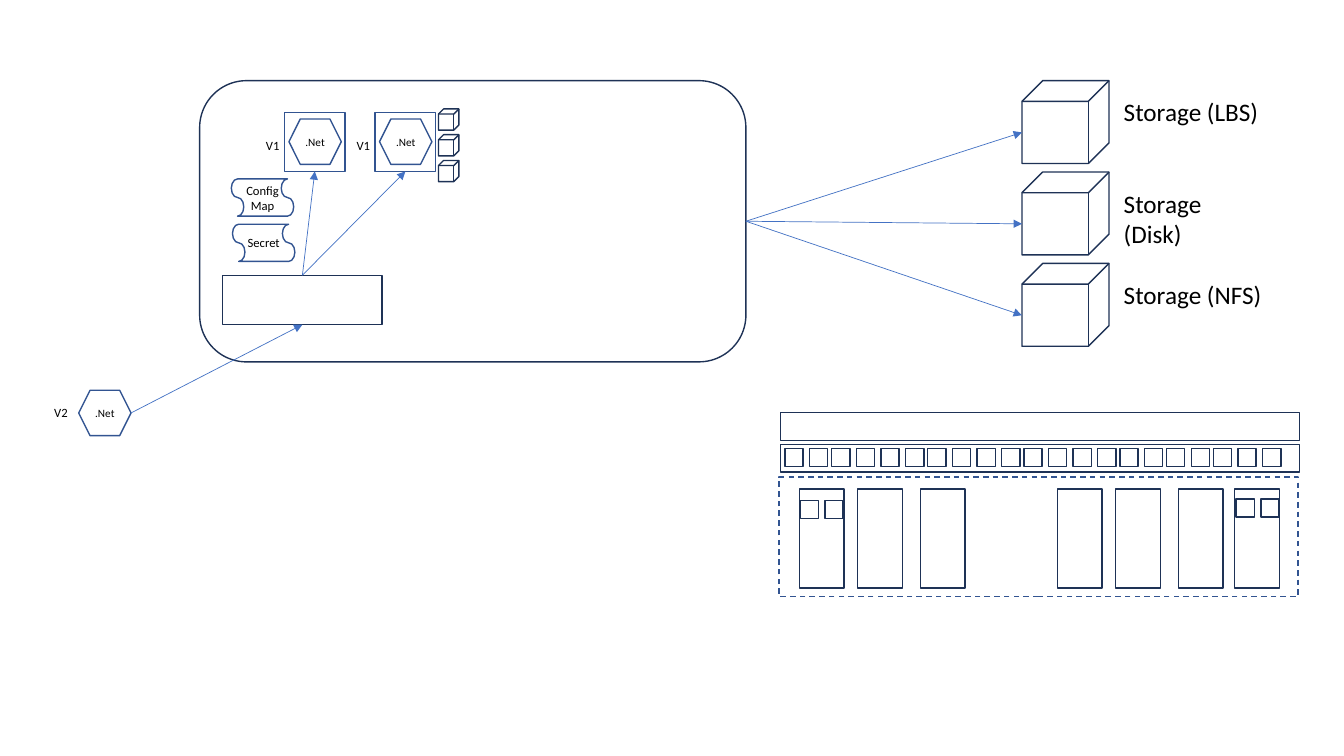
from lxml import etree
from pptx import Presentation
from pptx.dml import color
from pptx.enum import dml, shapes, text
from pptx.oxml import ns
from pptx.util import Pt

KIND = shapes.MSO_SHAPE
TOP, BOTTOM, RIGHT = 0, 2, 3
HUES = {"dark": "1E3256", "mid": "325491", "arrow": "4472C4", "ink": "000000"}


class Sketch:
    font = "Calibri"

    def __init__(self, slide):
        self.slide = slide

    def hue(self, name):
        return color.RGBColor.from_string(HUES[name])

    def words(self, frame, label, size):
        par = frame.paragraphs[0]
        par.text = label
        par.font.name = self.font
        par.font.size = Pt(size)
        par.font.color.rgb = self.hue("ink")
        return par

    def shape(self, kind, x, y, w, h, hue="dark"):
        item = self.slide.shapes.add_shape(kind, Pt(x), Pt(y), Pt(w), Pt(h))
        item.shadow.inherit = False
        item.fill.background()
        item.line.color.rgb = self.hue(hue)
        item.line.width = Pt(1)
        return item

    def badge(self, kind, x, y, w, h, label, size):
        """Add an outlined shape with centred words and no insets."""
        item = self.shape(kind, x, y, w, h, "mid")
        frame = item.text_frame
        frame.margin_left = frame.margin_right = 0
        frame.margin_top = frame.margin_bottom = 0
        frame.vertical_anchor = text.MSO_ANCHOR.MIDDLE
        self.words(frame, label, size).alignment = text.PP_ALIGN.CENTER
        return item

    def app(self, x, y):
        self.badge(KIND.HEXAGON, x, y, 37.4, 32.4, ".Net", 8)

    def tape(self, x, y, label):
        """Add a punched tape on its side, with its words kept level."""
        item = self.badge(KIND.FLOWCHART_PUNCHED_TAPE,
                          x, y, 26.6, 44.6, label, 9)
        item.rotation = 90
        body = item.text_frame._txBody.find(ns.qn("a:bodyPr"))
        body.set("vert", "vert270")

    def label(self, x, y, w, h, label, size):
        box = self.slide.shapes.add_textbox(Pt(x), Pt(y), Pt(w), Pt(h))
        frame = box.text_frame
        frame.word_wrap = False
        frame.auto_size = text.MSO_AUTO_SIZE.SHAPE_TO_FIT_TEXT
        self.words(frame, label, size)

    def arrow(self, start, end, tail=None, head=None):
        """Add an arrow; tail and head are (shape, side) pairs to join."""
        points = [Pt(n) for n in (*start, *end)]
        link = self.slide.shapes.add_connector(
            shapes.MSO_CONNECTOR.STRAIGHT, *points)
        if tail:
            link.begin_connect(*tail)
        if head:
            link.end_connect(*head)
        link.line.color.rgb = self.hue("arrow")
        link.line.width = Pt(0.5)
        props = link._element.spPr
        tip = etree.SubElement(props.find(ns.qn("a:ln")), ns.qn("a:tailEnd"))
        tip.set("type", "triangle")
        etree.SubElement(props, ns.qn("a:effectLst"))


def draw_cluster(art):
    cluster = art.shape(KIND.ROUNDED_RECTANGLE, 142.6, 57.6, 390.2, 200.9)
    router = art.shape(KIND.RECTANGLE, 159.1, 196.6, 113.8, 35.3)
    for x in (203.2, 267.9):
        pod = art.shape(KIND.RECTANGLE, x, 80.4, 43.4, 42, "mid")
        art.app(x + 3.2, 85)
        art.label(x - 20.3, 95, 24.5, 18, "V1", 9)
        art.arrow((216, 196.6), (x + 21.7, 122.4), (router, TOP), (pod, BOTTOM))
    for row in range(3):
        art.shape(KIND.CUBE, 313.2, 77.8 + 18.4 * row, 14.6, 15.1)
    art.tape(175, 151.2, "Secret")
    art.tape(174.2, 118.8, "ConfigMap")

    art.app(56.2, 278.8)
    art.label(31.7, 285.8, 24.5, 18, "V2", 9)
    art.arrow((93.6, 295), (216, 231.9), head=(router, BOTTOM))
    return cluster


def draw_stores(art, cluster):
    for row, name in enumerate(("LBS", "Disk", "NFS")):
        y = 57.6 + 65.3 * row
        art.shape(KIND.CUBE, 730, y, 62.2, 59.2)
        art.arrow((532.8, 158), (730, y + 37), (cluster, RIGHT))
        art.label(795.6, y + 8, 114, 29, f"Storage ({name})", 18)


def draw_rack(art):
    def cell(x, y):
        art.shape(KIND.RECTANGLE, x, y, 13, 13)

    zone = art.shape(KIND.RECTANGLE, 556.5, 340.6, 370.8, 85.7, "mid")
    zone.line.dash_style = dml.MSO_LINE.DASH
    for x in (571, 612.7, 657.4, 755.3, 797, 841.7, 882):
        art.shape(KIND.RECTANGLE, x, 349.4, 32, 70.6)
    for y in (294.9, 317.3):
        art.shape(KIND.RECTANGLE, 557.3, y, 370.8, 20)

    step, cut = 17.6, 1.8
    tight = (2, 6, 10, 14, 16, 18)  # cells that sit closer to the one before
    for col in range(21):
        cuts = sum(spot <= col for spot in tight)
        cell(560.7 + step * col - cut * cuts, 320.4)
    for x, y in ((571.6, 357.3), (883, 356.4)):
        cell(x, y)
        cell(x + step, y)


def main():
    deck = Presentation()
    deck.slide_width, deck.slide_height = Pt(960), Pt(540)
    art = Sketch(deck.slides.add_slide(deck.slide_layouts[6]))
    cluster = draw_cluster(art)
    draw_stores(art, cluster)
    draw_rack(art)
    deck.save("out.pptx")


if __name__ == "__main__":
    main()
